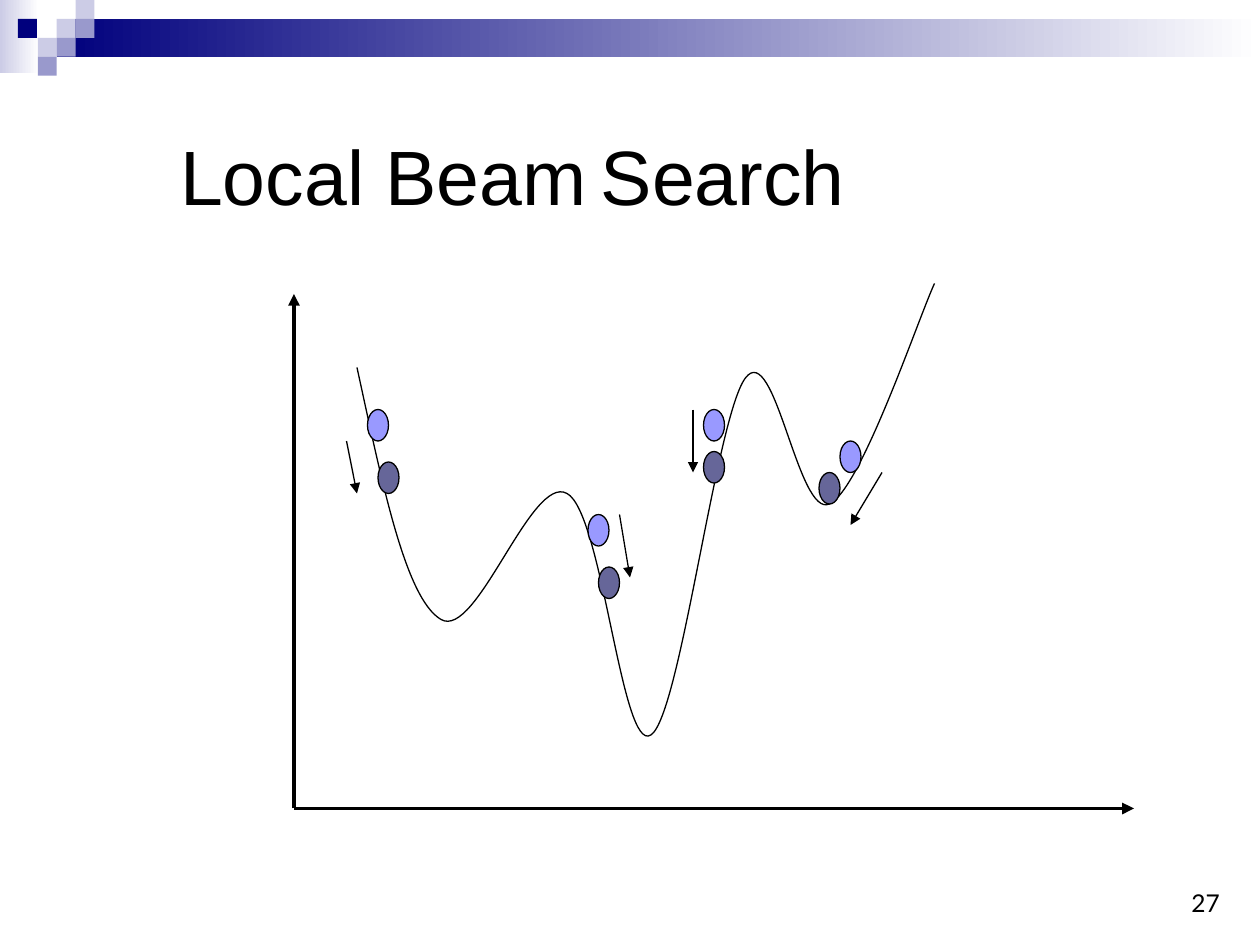
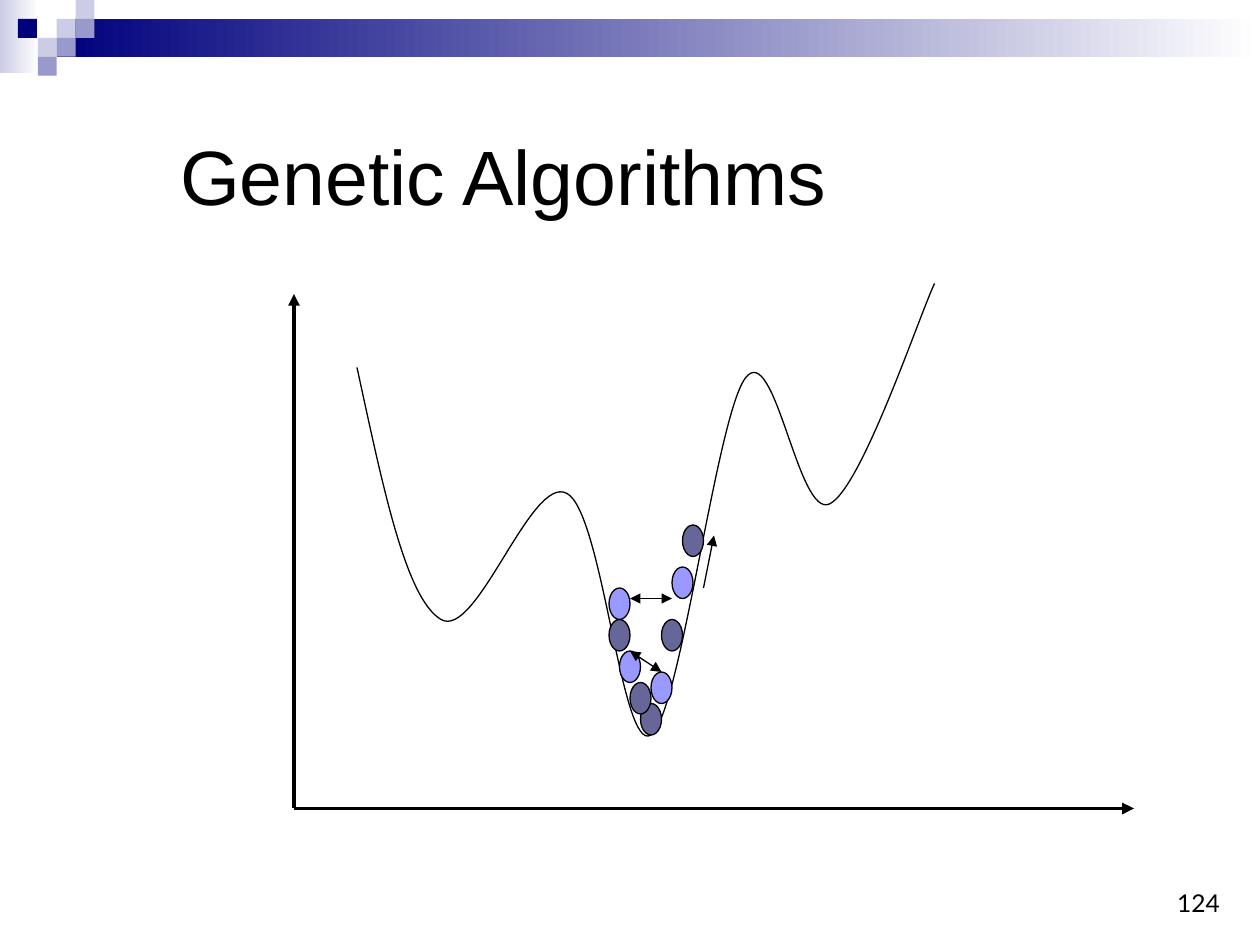
from lxml.etree import SubElement
from pptx import Presentation
from pptx.dml.color import RGBColor
from pptx.enum.shapes import MSO_CONNECTOR, MSO_SHAPE
from pptx.enum.text import MSO_ANCHOR, MSO_AUTO_SIZE, PP_ALIGN
from pptx.oxml.ns import qn
from pptx.util import Inches, Pt

BLACK, WHITE, NAVY = "000000", "FFFFFF", "00007D"
LILAC, MAUVE = "CCCCE6", "9999CC"
LIGHT, DARK = "9999FF", "666699"

# Content: diagram places are (column, row) on a grid of twelve per inch
SLIDES = [
    {
        "title": [("Local Beam", 44, False, BLACK), (" ", 28, True, MAUVE),
                  ("Search", 44, False, BLACK)],
        "number": "27",
        "states": {LIGHT: [(35, 39), (56, 49), (67, 39), (80, 42)],
                   DARK: [(36, 44), (57, 54), (78, 45), (67, 43)]},
        "moves": [((33, 42), (34, 47)), ((59, 49), (60, 55)),
                  ((66, 39), (66, 45)), ((84, 45), (81, 50))],
        "crossovers": [],
    },
    {
        "title": [("Genetic Algorithms", 44, False, BLACK)],
        "number": "124",
        "states": {LIGHT: [(58, 56), (64, 54), (62, 64), (59, 62)],
                   DARK: [(65, 50), (61, 67), (60, 65), (58, 59), (63, 59)]},
        "moves": [((67, 56), (68, 51))],
        "crossovers": [((60, 62), (63, 64)), ((60, 57), (64, 57))],
    },
]

# Axes and cost curve (two control points and an end point per piece)
ORIGIN, Y_END, X_END = (28, 77), (28, 28), (108, 77)
CURVE_START = (34, 35)
CURVE = [
    ((36.4, 46), (38.6, 57), (42, 59)),
    ((45.4, 61), (50.6, 45.1), (54, 47)),
    ((57.4, 48.8), (59.2, 71.9), (62, 70)),
    ((64.8, 68.2), (68.2, 39.7), (71, 36)),
    ((73.8, 32.3), (76, 49.4), (79, 48)),
    ((82, 46.6), (87.4, 30.5), (89, 27)),
]
STATE_SIZE = (2, 3)

# Header: gradient bands in inches, mosaic squares in columns and rows
BANDS = [((0, 0, 0.31, 0.58), LILAC), ((0.45, 0.15, 9.55, 0.3), NAVY)]
CELL = 0.15
MOSAIC = {LILAC: [(3, 1), (4, 0), (2, 2)],
          MAUVE: [(4, 1), (3, 2), (2, 3)],
          NAVY: [(0.95, 1)]}


def rgb(color):
    return RGBColor.from_string(color)


def grid(*units):
    return [Inches(u / 12) for u in units]


def set_line(sp, width=0.75):
    sp.line.color.rgb = rgb(BLACK)
    sp.line.width = Pt(width)


def add_box(s, kind, box, color):
    sp = s.shapes.add_shape(kind, *box)
    sp.shadow.inherit = False
    sp.fill.solid()
    sp.fill.fore_color.rgb = rgb(color)
    sp.line.fill.background()
    return sp


def add_arrow(s, start, end, width=0.75, both=False):
    c = s.shapes.add_connector(MSO_CONNECTOR.STRAIGHT, *grid(*start, *end))
    set_line(c, width)
    ln = c.element.spPr.find(qn("a:ln"))
    for tag in ("a:headEnd", "a:tailEnd") if both else ("a:tailEnd",):
        SubElement(ln, qn(tag), type="triangle")
    SubElement(c.element.spPr, qn("a:effectLst"))


def add_header(s):
    for box, color in BANDS:
        sp = add_box(s, MSO_SHAPE.RECTANGLE, map(Inches, box), color)
        sp.fill.gradient()
        sp.fill.gradient_angle = 0
        for stop, shade in zip(sp.fill.gradient_stops, (color, WHITE)):
            stop.color.rgb = rgb(shade)
    for color, cells in MOSAIC.items():
        for col, row in cells:
            box = map(Inches, (col * CELL, row * CELL, CELL, CELL))
            add_box(s, MSO_SHAPE.RECTANGLE, box, color)


def add_title(s, pieces):
    title = s.shapes.title
    title.left, title.top, title.width, title.height = map(
        Inches, (1.33, 0.94, 8.52, 0.9))
    tf = title.text_frame
    tf.auto_size = MSO_AUTO_SIZE.NONE
    tf.vertical_anchor = MSO_ANCHOR.MIDDLE
    p = tf.paragraphs[0]
    p.alignment = PP_ALIGN.LEFT
    for text, size, italic, color in pieces:
        r = p.add_run()
        r.text = text
        r.font.name, r.font.size, r.font.italic = "Arial", Pt(size), italic
        r.font.color.rgb = rgb(color)


def add_number(s, number):
    tf = s.shapes.add_textbox(*map(Inches, (7.7, 6.83, 2.08, 0.5))).text_frame
    tf.word_wrap = True
    tf.vertical_anchor = MSO_ANCHOR.BOTTOM
    tf.text = number
    p = tf.paragraphs[0]
    p.alignment = PP_ALIGN.RIGHT
    r = p.runs[0]
    r.font.name, r.font.size = "Lato", Pt(14)
    r.font.color.rgb = rgb(BLACK)


def add_curve(s):
    builder = s.shapes.build_freeform(*grid(*CURVE_START))
    points = [grid(*point) for piece in CURVE for point in piece]
    builder.add_line_segments(points, close=False)
    sp = builder.convert_to_shape()
    # Join every three segments into one cubic piece
    segments = list(sp.element.iter(qn("a:lnTo")))
    outline = segments[0].getparent()
    for i in range(0, len(segments), 3):
        cubic = SubElement(outline, qn("a:cubicBezTo"))
        for segment in segments[i:i + 3]:
            cubic.append(segment[0])
            outline.remove(segment)
    sp.shadow.inherit = False
    sp.fill.background()
    set_line(sp)


def main():
    prs = Presentation()
    prs.slide_width, prs.slide_height = Inches(10), Inches(7.5)
    for content in SLIDES:
        s = prs.slides.add_slide(prs.slide_layouts[5])
        add_header(s)
        add_number(s, content["number"])
        add_title(s, content["title"])
        # Landscape
        for end in (Y_END, X_END):
            add_arrow(s, ORIGIN, end, 2.25)
        add_curve(s)
        # Search states and how they move
        for color, places in content["states"].items():
            for place in places:
                set_line(add_box(s, MSO_SHAPE.OVAL, grid(*place, *STATE_SIZE), color))
        for start, end in content["moves"]:
            add_arrow(s, start, end)
        for start, end in content["crossovers"]:
            add_arrow(s, start, end, both=True)
    prs.save("out.pptx")


if __name__ == "__main__":
    main()
